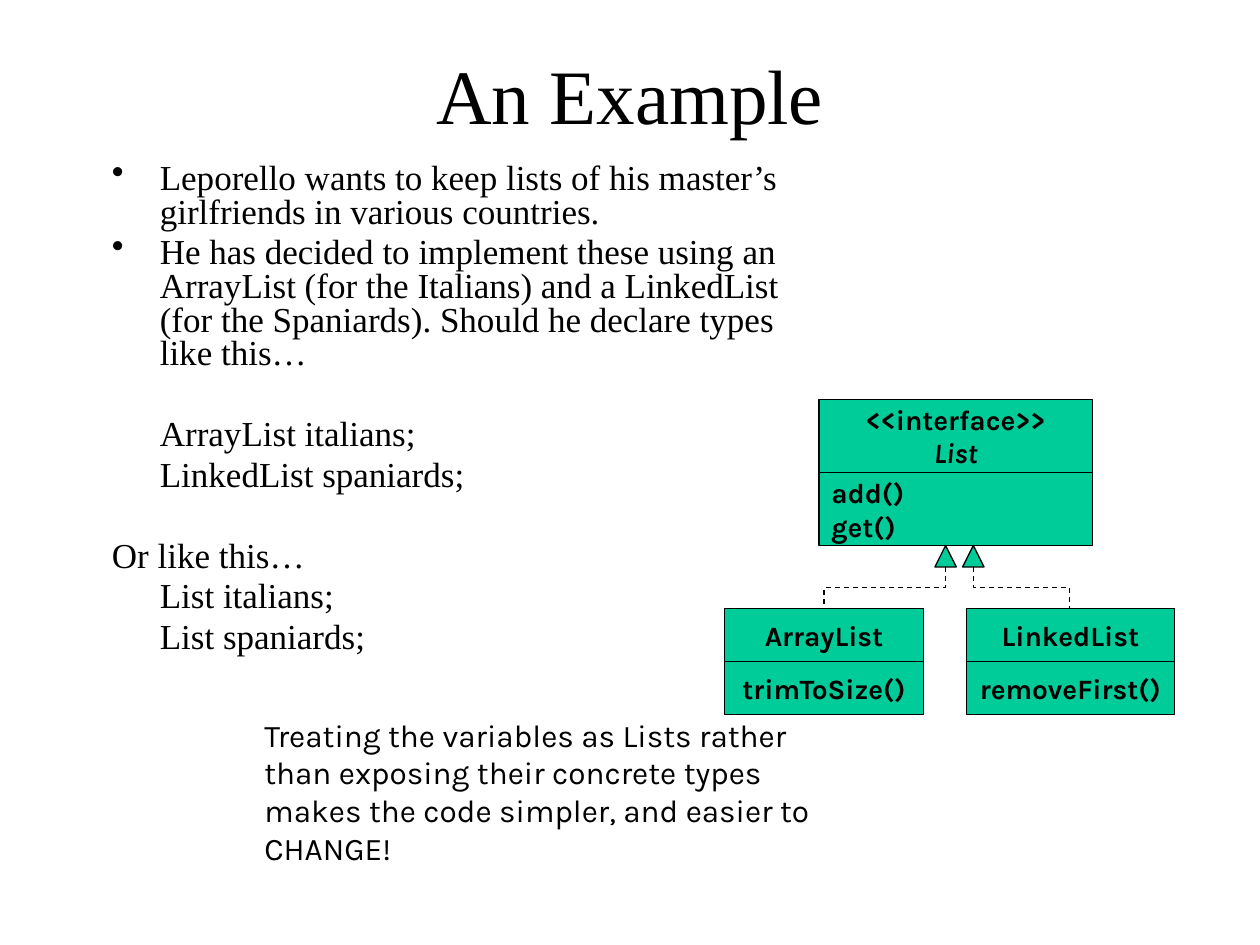
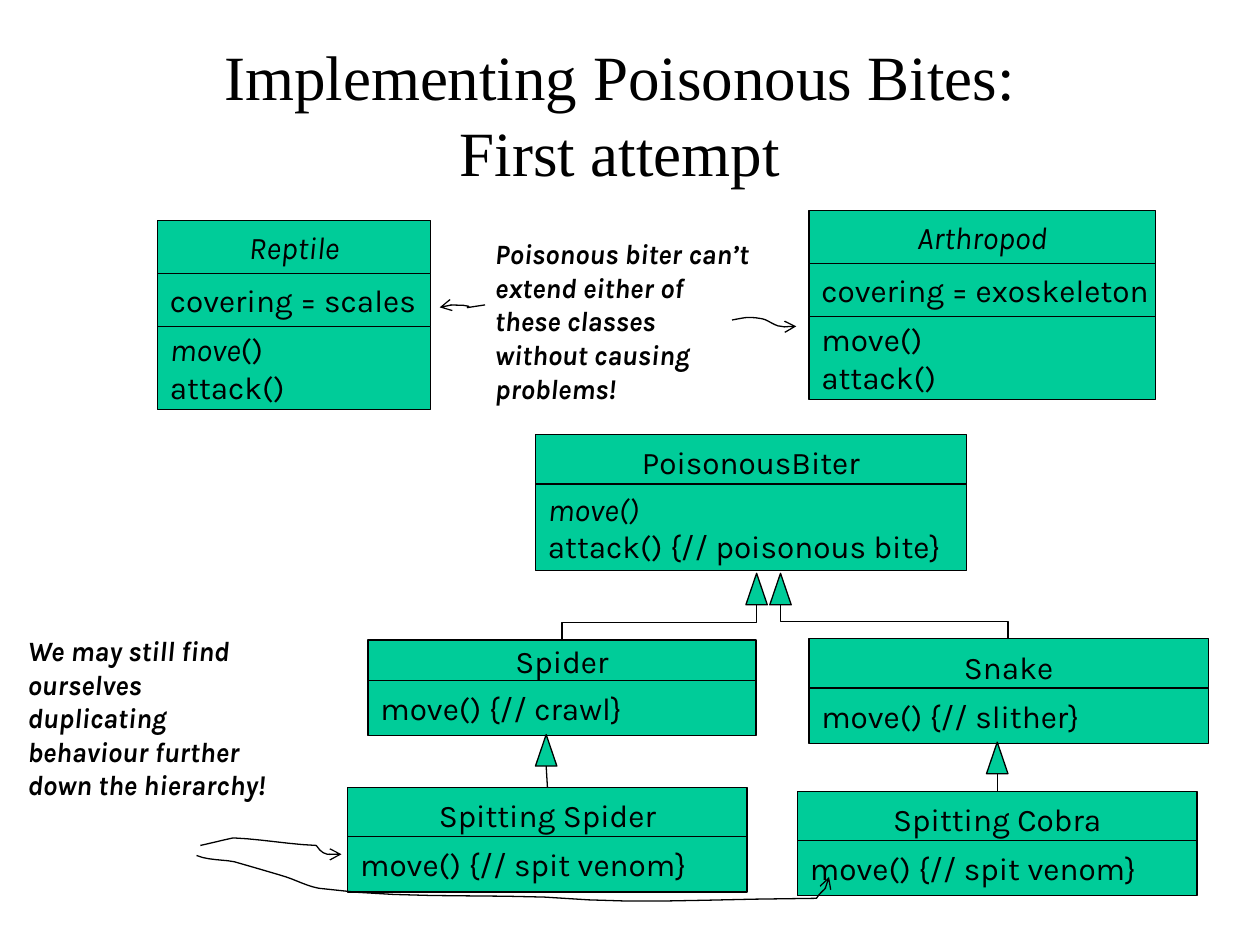
from lxml import etree
from pptx import Presentation
from pptx import util as u
from pptx.dml.color import RGBColor
from pptx.enum import dml, shapes, text
from pptx.oxml.ns import qn

GREEN = RGBColor(0x00, 0xCC, 0x99)
BLACK = RGBColor(0, 0, 0)
SERIF, SANS = "Times New Roman", "Karla"
CENTER, LEFT = text.PP_ALIGN.CENTER, text.PP_ALIGN.LEFT
TRIANGLE_WIDTH = 0.17
INDENT = u.Inches(0.38)


def write(shape, lines, align, **font):
    """Fill a shape with one paragraph per line; _underscores_ mark italics."""
    frame = shape.text_frame
    for number, line in enumerate(lines):
        paragraph = frame.paragraphs[0] if number == 0 else frame.add_paragraph()
        paragraph.alignment = align
        for part, words in enumerate(line.split("_")):
            if words:
                run = paragraph.add_run()
                run.text = words
                run.font.color.rgb = BLACK
                for key, value in {**font, "italic": part % 2 == 1}.items():
                    setattr(run.font, key, value)
    return frame


def outline(shape, filled=True):
    """Give a shape the thin black line and, if filled, the class colour."""
    shape.shadow.inherit = False
    shape.line.color.rgb = BLACK
    shape.line.width = u.Pt(0.75)
    if filled:
        shape.fill.solid()
        shape.fill.fore_color.rgb = GREEN
    else:
        shape.fill.background()


prs = Presentation()
prs.slide_width, prs.slide_height = u.Inches(10), u.Inches(7.5)
example, bites = [prs.slides.add_slide(prs.slide_layouts[6]) for _ in range(2)]

# Titles
for slide, left, top, size, lines in [
    (example, 0.75, 0.33, 44, ["An Example"]),
    (bites, 0.67, 0.25, 36, ["Implementing Poisonous Bites:", "First attempt"]),
]:
    title = slide.shapes.add_textbox(*map(u.Inches, (left, top, 8.5, 1.25)))
    write(title, lines, CENTER, name=SERIF, size=u.Pt(size)).word_wrap = True

# Story of the lists: text, bulleted, indented, space before
story = [
    ("Leporello wants to keep lists of his master’s girlfriends in various countries.", True, True, 0),
    ("He has decided to implement these using an ArrayList (for the Italians) and a "
     "LinkedList (for the Spaniards). Should he declare types like this…", True, True, 4),
    ("ArrayList italians;", False, True, 27),
    ("LinkedList spaniards;", False, True, 4),
    ("Or like this…", False, False, 27),
    ("List italians;", False, True, 4),
    ("List spaniards;", False, True, 4),
]
body = example.shapes.add_textbox(*map(u.Inches, (0.79, 1.25, 5.75, 4.5)))
frame = write(body, [row[0] for row in story], LEFT, name=SERIF, size=u.Pt(20))
frame.word_wrap = True
for paragraph, (_, bulleted, indented, space) in zip(frame.paragraphs, story):
    paragraph.line_spacing = 0.8
    paragraph.space_before = u.Pt(space)
    props = paragraph._p.get_or_add_pPr()
    props.set("marL", str(INDENT if indented else 0))
    props.set("indent", str(-INDENT if bulleted else 0))
    if bulleted:
        etree.SubElement(props, qn("a:buChar")).set("char", "•")

# Remarks beside the diagrams
for slide, box, size, bold, remark in [
    (example, (2, 5.63, 4.67, 1.31), 18, False,
     "Treating the variables as Lists rather than exposing their concrete types "
     "makes the code simpler, and easier to CHANGE!"),
    (bites, (3.83, 1.83, 2.25, 1.44), 16, True,
     "_Poisonous biter can’t extend either of these classes without causing problems!_"),
    (bites, (0.12, 4.98, 2.25, 1.7), 16, True,
     "_We may still find ourselves duplicating behaviour further down the hierarchy!_"),
]:
    note = slide.shapes.add_textbox(*map(u.Inches, box))
    write(note, [remark], LEFT, name=SANS, size=u.Pt(size), bold=bold).word_wrap = True

# Classes: left, width, alignment of members, compartments (top, height, lines)
example_classes = [
    (6.5, 2.17, LEFT, [(3.17, 0.58, ["<<interface>>", "_List_"]), (3.75, 0.58, ["add()", "get()"])]),
    (5.75, 1.58, CENTER, [(4.83, 0.42, ["ArrayList"]), (5.25, 0.42, ["trimToSize()"])]),
    (7.67, 1.65, CENTER, [(4.83, 0.42, ["LinkedList"]), (5.25, 0.42, ["removeFirst()"])]),
]
bites_classes = [
    (1.25, 2.17, LEFT, [(1.75, 0.42, ["_Reptile_"]), (2.17, 0.42, ["covering = scales"]),
                        (2.59, 0.66, ["_move_()", "attack()"])]),
    (6.42, 2.75, LEFT, [(1.67, 0.42, ["_Arthropod_"]), (2.09, 0.42, ["covering = exoskeleton"]),
                        (2.51, 0.66, ["move()", "attack()"])]),
    (4.25, 3.42, LEFT, [(3.45, 0.44, ["PoisonousBiter"]),
                        (3.84, 0.69, ["_move()_", "attack() {// poisonous bite}"])]),
    (2.92, 3.08, LEFT, [(5.08, 0.33, ["Spider"]), (5.4, 0.44, ["move() {// crawl}"])]),
    (6.42, 3.17, LEFT, [(5.07, 0.44, ["Snake"]), (5.46, 0.44, ["move() {// slither}"])]),
    (2.76, 3.17, LEFT, [(6.25, 0.44, ["Spitting Spider"]), (6.64, 0.44, ["move() {// spit venom}"])]),
    (6.33, 3.17, LEFT, [(6.28, 0.44, ["Spitting Cobra"]), (6.67, 0.44, ["move() {// spit venom}"])]),
]
headers = {}
for slide, classes, size, bold in [(example, example_classes, 16, True), (bites, bites_classes, 18, False)]:
    for left, width, member_align, compartments in classes:
        for row, (top, height, lines) in enumerate(compartments):
            compartment = slide.shapes.add_shape(
                shapes.MSO_SHAPE.RECTANGLE, *map(u.Inches, (left, top, width, height)))
            outline(compartment)
            frame = write(compartment, lines, member_align if row else CENTER,
                          name=SANS, size=u.Pt(size), bold=bold)
            frame.word_wrap = False
            frame.vertical_anchor = text.MSO_ANCHOR.MIDDLE
            if row == 0:
                headers[lines[0]] = compartment

# Inheritance: triangle left, top, height, then the subclass end of the line
links = []
for slide, left, top, height, end_x, end_y, subclass in [
    (example, 7.42, 4.33, 0.17, 6.54, 4.83, None),
    (example, 7.64, 4.33, 0.17, 8.49, 4.83, None),
    (bites, 5.92, 4.55, 0.25, 4.46, 5.08, None),
    (bites, 6.11, 4.55, 0.25, 8, 5.07, None),
    (bites, 4.25, 5.83, 0.25, 4.35, 6.25, "Spitting Spider"),
    (bites, 7.83, 5.89, 0.25, 7.91, 6.28, "Spitting Cobra"),
]:
    triangle = slide.shapes.add_shape(
        shapes.MSO_SHAPE.ISOSCELES_TRIANGLE, *map(u.Inches, (left, top, TRIANGLE_WIDTH, height)))
    outline(triangle)
    x, y = left + TRIANGLE_WIDTH / 2, top + height
    if subclass:
        link = slide.shapes.add_connector(
            shapes.MSO_CONNECTOR.STRAIGHT, *map(u.Inches, (x, y, end_x, end_y)))
        link.end_connect(headers[subclass], 0)
    else:
        # The elbow is laid out sideways, then turned so that it leaves downwards.
        run, drop = abs(end_x - x), end_y - y
        mid_x, mid_y = (x + end_x) / 2, (y + end_y) / 2
        link = slide.shapes.add_connector(shapes.MSO_CONNECTOR.ELBOW, *map(u.Inches, (
            mid_x - drop / 2, mid_y - run / 2, mid_x + drop / 2, mid_y + run / 2)))
        xfrm = link._element.spPr.find(qn("a:xfrm"))
        xfrm.set("rot", str((90 if end_x < x else 270) * 60000))
        if end_x > x:
            xfrm.set("flipH", "1")
    link.line.color.rgb = BLACK
    link.line.width = u.Pt(0.75)
    if slide is example:
        link.line.dash_style = dml.MSO_LINE.DASH
    etree.SubElement(link._element.spPr, qn("a:effectLst"))

# Hand-drawn arrows: start, then Bezier segments of two controls and an end
for start, *segments in [
    [(3.85, 2.42), ((3.52, 2.47), (3.93, 2.42), (3.54, 2.42)), ((3.52, 2.42), (3.49, 2.44), (3.49, 2.44))],
    [(5.81, 2.54), ((5.92, 2.52), (5.93, 2.51), (6.05, 2.53)), ((6.1, 2.54), (6.15, 2.59), (6.2, 2.59)),
     ((6.24, 2.6), (6.28, 2.59), (6.32, 2.59))],
    [(1.59, 6.71), ((1.68, 6.69), (1.76, 6.67), (1.85, 6.65)), ((2.08, 6.66), (2.28, 6.7), (2.51, 6.71)),
     ((2.57, 6.8), (2.61, 6.78), (2.71, 6.78))],
    [(1.56, 6.79), ((1.66, 6.83), (1.76, 6.82), (1.86, 6.84)), ((2, 6.88), (2.14, 6.92), (2.27, 6.96)),
     ((2.36, 6.99), (2.43, 7.03), (2.53, 7.05)), ((3.12, 7.13), (3.73, 7.1), (4.32, 7.12)),
     ((5.1, 7.18), (5.36, 7.14), (6.48, 7.13)), ((6.52, 7.06), (6.58, 7.06), (6.58, 6.96))],
]:
    points, here = [], start
    for control_1, control_2, end in segments:
        for step in range(1, 7):
            t = step / 6
            points.append(tuple(
                u.Inches((1 - t) ** 3 * a + 3 * t * (1 - t) ** 2 * b + 3 * t * t * (1 - t) * c + t ** 3 * d)
                for a, b, c, d in zip(here, control_1, control_2, end)))
        here = end
    builder = bites.shapes.build_freeform(*map(u.Inches, start))
    builder.add_line_segments(points, close=False)
    arrow = builder.convert_to_shape()
    outline(arrow, filled=False)
    etree.SubElement(arrow.line._get_or_add_ln(), qn("a:tailEnd")).set("type", "arrow")

prs.save("out.pptx")
